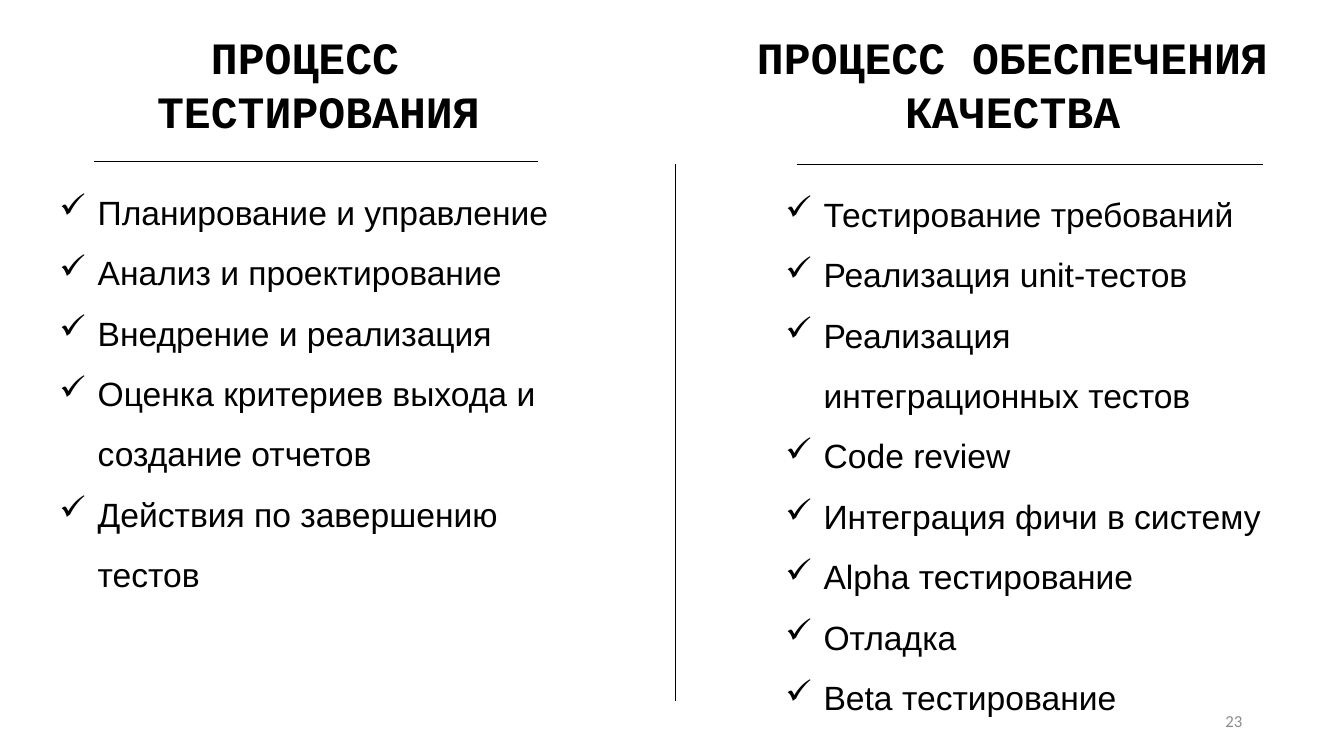
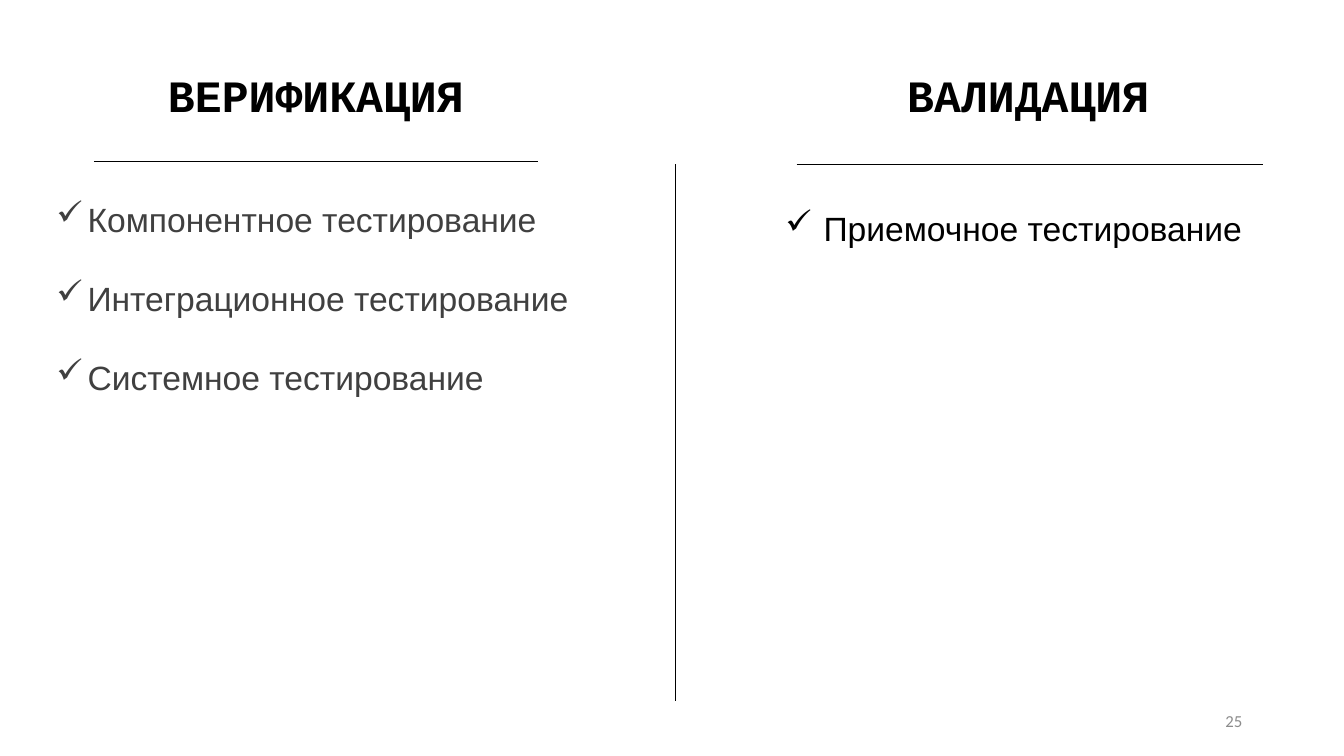
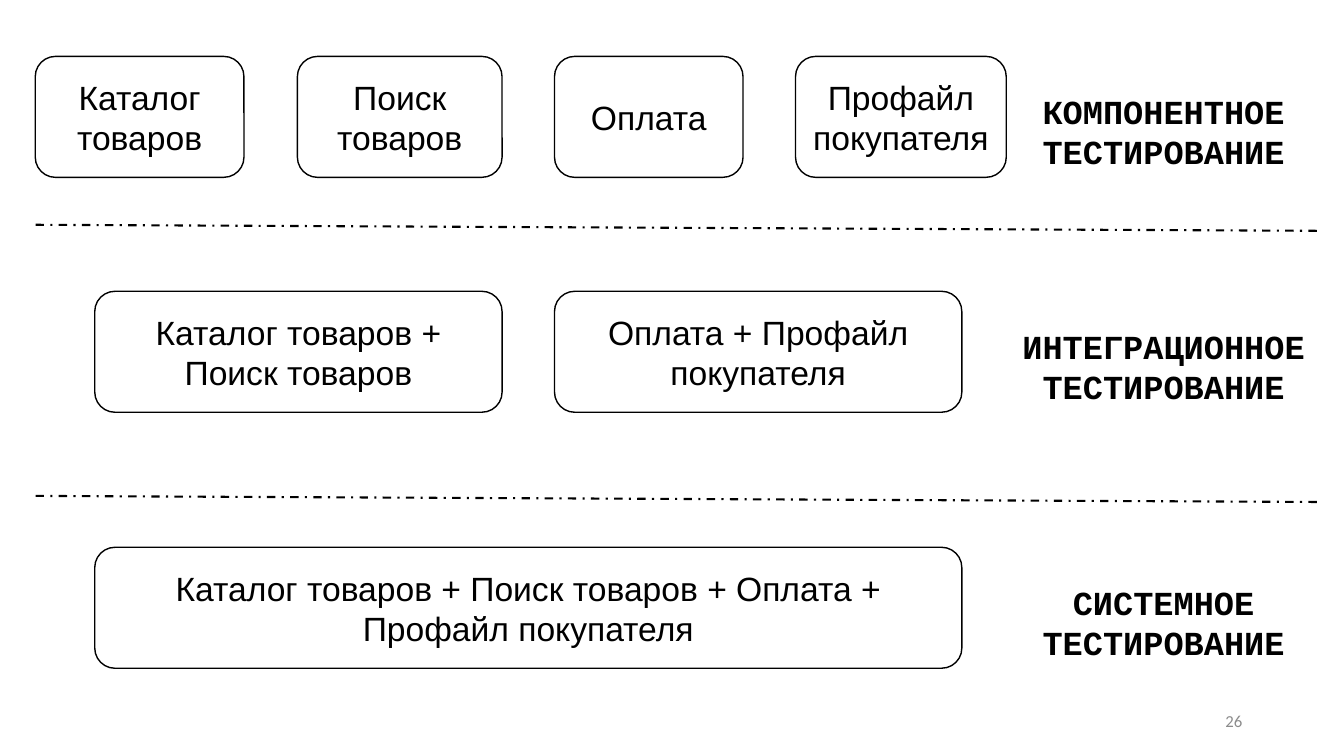
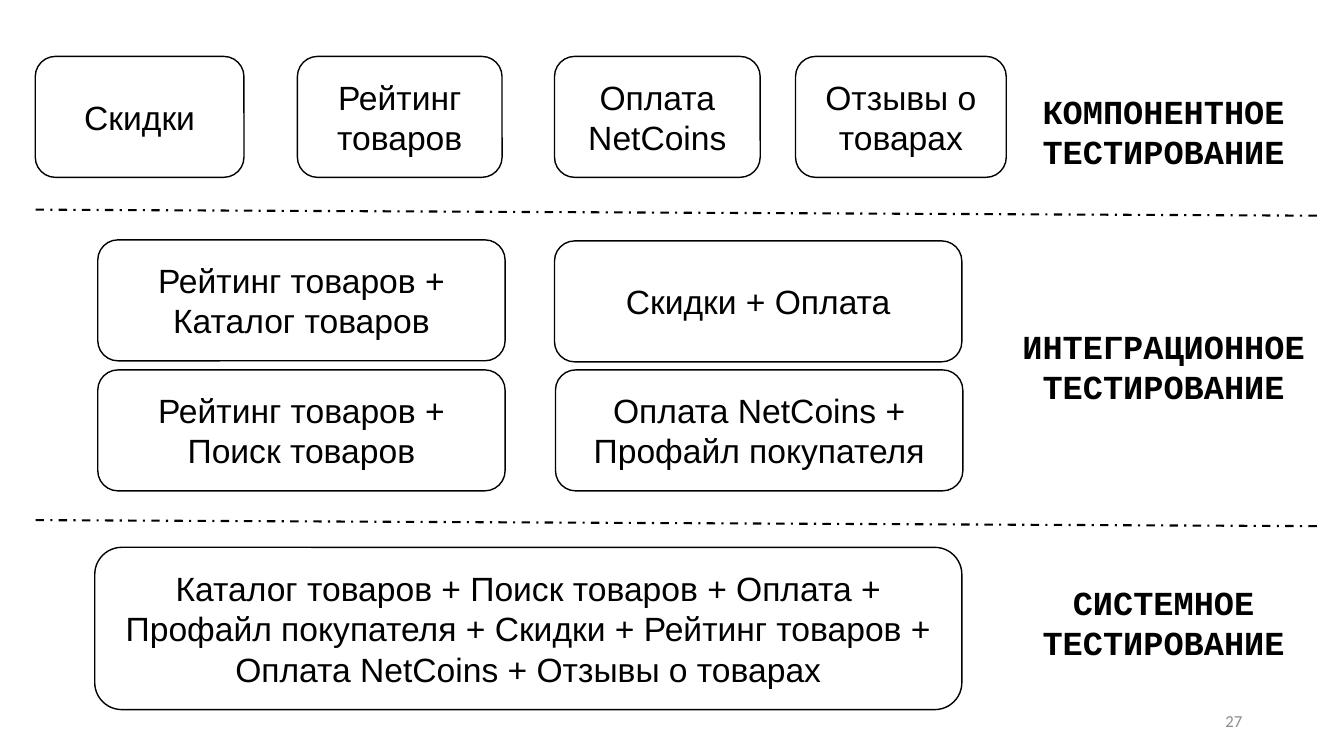
from lxml import etree
from pptx import Presentation
from pptx.dml.color import RGBColor
from pptx.enum.dml import MSO_LINE
from pptx.enum.shapes import MSO_CONNECTOR, MSO_SHAPE
from pptx.enum.text import MSO_ANCHOR, MSO_AUTO_SIZE, PP_ALIGN
from pptx.oxml.ns import qn
from pptx.util import Inches, Pt

LEFT, CENTER, RIGHT = PP_ALIGN.LEFT, PP_ALIGN.CENTER, PP_ALIGN.RIGHT
MIDDLE = MSO_ANCHOR.MIDDLE
FIT = MSO_AUTO_SIZE.SHAPE_TO_FIT_TEXT
ROUNDED = MSO_SHAPE.ROUNDED_RECTANGLE
STRAIGHT = MSO_CONNECTOR.STRAIGHT
DASH_DOT = MSO_LINE.DASH_DOT

COLORS = {"ink": "000000", "soft": "404040", "number": "8C8C8C", "paper": "FFFFFF"}
BODY, HEADING, FOOTER = "Arial", "Courier New", "Calibri"

# Content: two-column slides; each heading line has its alignment
COLUMN_SLIDES = [
    {"number": 23, "columns": [
        {"heading": [("ПРОЦЕСС ", CENTER), ("ТЕСТИРОВАНИЯ", CENTER)],
         "heading_box": (1.44, 0.25, 3.44, 1.18),
         "list_box": (0.49, 1.65, 5.35, 4.75),
         "items": ["Планирование и управление", "Анализ и проектирование",
                   "Внедрение и реализация",
                   "Оценка критериев выхода и создание отчетов",
                   "Действия по завершению тестов"]},
        {"heading": [("ПРОЦЕСС ОБЕСПЕЧЕНИЯ", LEFT), ("КАЧЕСТВА", CENTER)],
         "heading_box": (7.41, 0.25, 5.46, 1.18),
         "list_box": (7.69, 1.67, 5.05, 5.55),
         "items": ["Тестирование требований", "Реализация unit-тестов",
                   "Реализация интеграционных тестов", "Code review",
                   "Интеграция фичи в систему", "Alpha тестирование",
                   "Отладка", "Beta тестирование"]},
    ]},
    {"number": 25, "columns": [
        {"heading": [("ВЕРИФИКАЦИЯ", CENTER)],
         "heading_box": (1.55, 0.62, 3.17, 0.64),
         "list_box": (0.46, 1.92, 5.35, 2.52),
         "items": ["Компонентное тестирование", "Интеграционное тестирование",
                   "Системное тестирование"],
         "style": {"color": "soft", "indent": 0.31, "spacing": 1.0, "gap": 27.6}},
        {"heading": [("ВАЛИДАЦИЯ", LEFT)],
         "heading_box": (8.9, 0.62, 2.63, 0.64),
         "list_box": (7.69, 1.81, 5.05, 0.63),
         "items": ["Приемочное тестирование"]},
    ]},
]
COLUMN_RULES = [(0.93, 1.6, 5.34, 1.6), (7.9, 1.63, 12.53, 1.63), (6.7, 1.63, 6.7, 6.95)]

# Content: test levels; boxes are (text, left, top, width)
LEVELS = [("КОМПОНЕНТНОЕ", 10.23, 0.85, 2.62),
          ("ИНТЕГРАЦИОННОЕ", 10.03, 3.18, 3.02),
          ("СИСТЕМНОЕ", 10.23, 5.72, 2.62)]
UNIT_TOP, BOX_H, PAIR_W, SYSTEM_W = 0.56, 1.2, 4.04, 8.6
LEVEL_SLIDES = [
    {"number": 26, "dividers": [2.23, 4.92], "system_height": BOX_H,
     "boxes": [("Каталог товаров", 0.35, UNIT_TOP, 2.07),
               ("Поиск товаров", 2.95, UNIT_TOP, 2.03),
               ("Оплата", 5.5, UNIT_TOP, 1.87),
               ("Профайл покупателя", 7.89, UNIT_TOP, 2.09),
               ("Каталог товаров + Поиск товаров", 0.94, 2.89, PAIR_W),
               ("Оплата + Профайл покупателя", 5.5, 2.89, PAIR_W)],
     "system": "Каталог товаров + Поиск товаров + Оплата + Профайл покупателя"},
    {"number": 27, "dividers": [2.08, 5.16], "system_height": 1.61,
     "boxes": [("Скидки", 0.35, UNIT_TOP, 2.07),
               ("Рейтинг товаров", 2.95, UNIT_TOP, 2.03),
               ("Оплата NetCoins", 5.5, UNIT_TOP, 2.04),
               ("Отзывы о товарах", 7.89, UNIT_TOP, 2.09),
               ("Рейтинг товаров + Каталог товаров", 0.97, 2.38, PAIR_W),
               ("Скидки + Оплата", 5.5, 2.39, PAIR_W),
               ("Рейтинг товаров + Поиск товаров", 0.97, 3.67, PAIR_W),
               ("Оплата NetCoins + Профайл покупателя", 5.51, 3.67, PAIR_W)],
     "system": "Каталог товаров + Поиск товаров + Оплата + Профайл покупателя + "
               "Скидки + Рейтинг товаров + Оплата NetCoins + Отзывы о товарах"},
]


def rgb(name):
    return RGBColor.from_string(COLORS[name])


def write(p, text, size=24, font=BODY, color="ink", bold=False, align=LEFT):
    p.text = text
    p.alignment = align
    for r in p.runs:
        r.font.size, r.font.name, r.font.bold = Pt(size), font, bold
        r.font.color.rgb = rgb(color)


def paragraphs(tf, count):
    return [tf.paragraphs[0]] + [tf.add_paragraph() for _ in range(count - 1)]


def add_text_box(s, box, wrap=True):
    tf = s.shapes.add_textbox(*map(Inches, box)).text_frame
    tf.word_wrap = wrap
    return tf


def add_heading(s, box, lines, size):
    tf = add_text_box(s, box, wrap=False)
    tf.auto_size = FIT
    for p, (text, align) in zip(paragraphs(tf, len(lines)), lines):
        write(p, text, size, HEADING, bold=True, align=align)


def add_checklist(s, box, items, color="ink", indent=0.38, spacing=1.5, gap=0):
    tf = add_text_box(s, box)
    for i, (p, item) in enumerate(zip(paragraphs(tf, len(items)), items)):
        pPr = p._p.get_or_add_pPr()
        pPr.set("marL", str(Inches(indent)))
        pPr.set("indent", str(-Inches(indent)))
        etree.SubElement(pPr, qn("a:buChar")).set("char", "✓")
        write(p, item, color=color)
        p.line_spacing = spacing
        if i and gap:
            p.space_before = Pt(gap)


def add_line(s, ends, width, dash=None):
    line = s.shapes.add_connector(STRAIGHT, *map(Inches, ends))
    line.line.color.rgb = rgb("ink")
    line.line.width = Pt(width)
    if dash:
        line.line.dash_style = dash
    etree.SubElement(line._element.spPr, qn("a:effectLst"))


def add_box(s, text, left, top, width, height=BOX_H):
    sp = s.shapes.add_shape(ROUNDED, *map(Inches, (left, top, width, height)))
    sp.shadow.inherit = False
    sp.fill.solid()
    sp.fill.fore_color.rgb = rgb("paper")
    sp.line.color.rgb = rgb("ink")
    sp.line.width = Pt(1)
    tf = sp.text_frame
    tf.word_wrap, tf.vertical_anchor = True, MIDDLE
    write(tf.paragraphs[0], text, align=CENTER)


def add_slide(prs, number):
    s = prs.slides.add_slide(prs.slide_layouts[6])
    tf = add_text_box(s, (9.42, 6.95, 3, 0.4))
    tf.vertical_anchor = MIDDLE
    write(tf.paragraphs[0], str(number), 12, FOOTER, "number", align=RIGHT)
    return s


def build_columns(prs, data):
    s = add_slide(prs, data["number"])
    for column in data["columns"]:
        add_heading(s, column["heading_box"], column["heading"], 32)
        add_checklist(s, column["list_box"], column["items"], **column.get("style", {}))
    for ends in COLUMN_RULES:
        add_line(s, ends, 0.5)


def build_levels(prs, data):
    s = add_slide(prs, data["number"])
    for box in data["boxes"]:
        add_box(s, *box)
    add_box(s, data["system"], 0.94, 5.43, SYSTEM_W, data["system_height"])
    for y in data["dividers"]:
        add_line(s, (13.06, y + 0.06, 0.35, y), 1.5, DASH_DOT)
    for name, left, top, width in LEVELS:
        lines = [(name, CENTER), ("ТЕСТИРОВАНИЕ", CENTER)]
        add_heading(s, (left, top, width, 0.91), lines, 24)


def main():
    prs = Presentation()
    prs.slide_width, prs.slide_height = Inches(13.33), Inches(7.5)
    for data in COLUMN_SLIDES:
        build_columns(prs, data)
    for data in LEVEL_SLIDES:
        build_levels(prs, data)
    prs.save("out.pptx")


if __name__ == "__main__":
    main()
